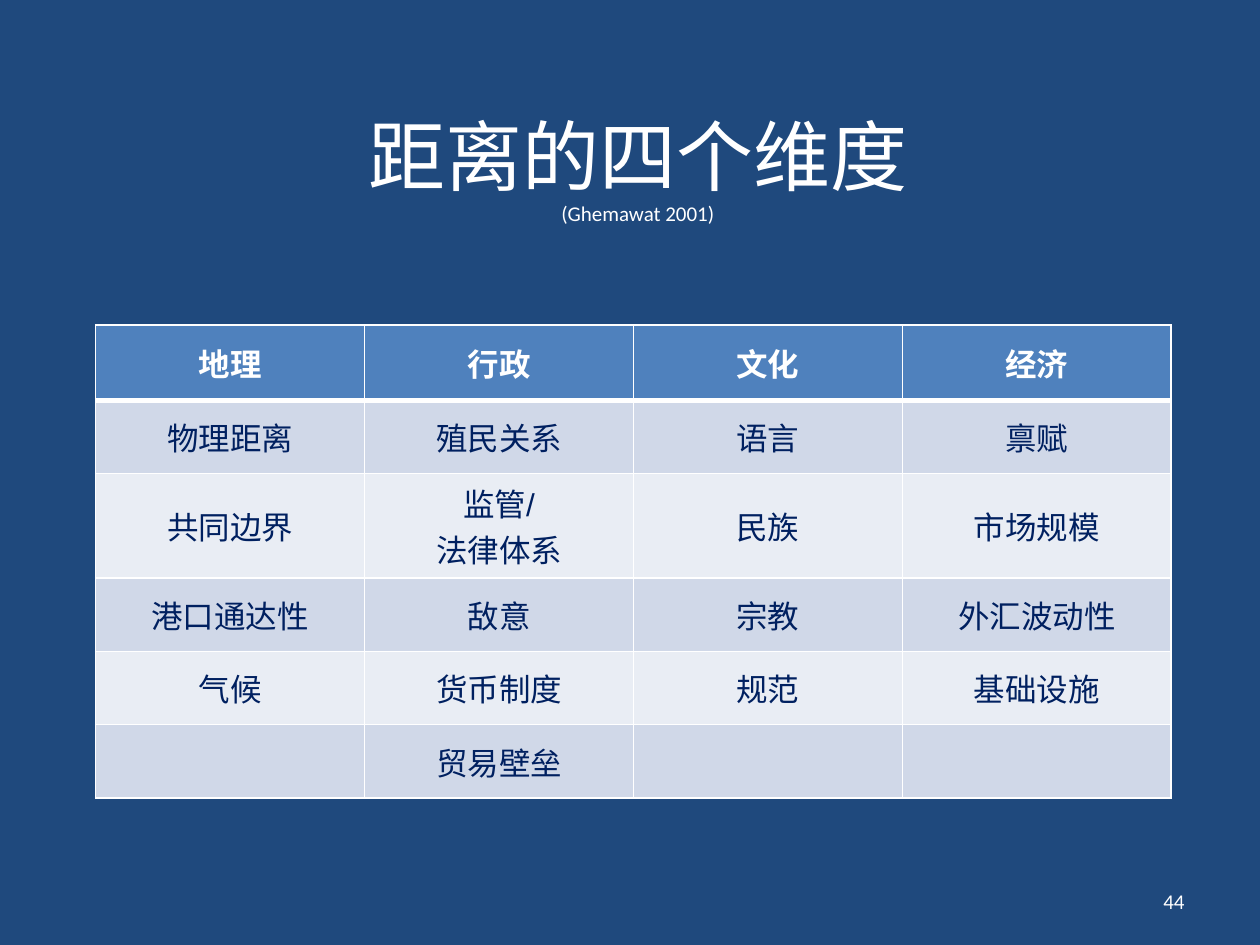
from lxml import etree
from pptx import Presentation
from pptx.dml.color import RGBColor
from pptx.enum import text as t
from pptx.oxml.ns import qn
from pptx.util import Cm, Pt

TITLE = "距离的四个维度"
CITE = "(Ghemawat 2001)"
PAGE = "44"
HEAD = ["地理", "行政", "文化", "经济"]
BODY = [
    ["物理距离", "殖民关系", "语言", "禀赋"],
    ["共同边界", "监管/\n法律体系", "民族", "市场规模"],
    ["港口通达性", "敌意", "宗教", "外汇波动性"],
    ["气候", "货币制度", "规范", "基础设施"],
    ["", "贸易壁垒", "", ""],
]

WHITE = RGBColor(0xFF, 0xFF, 0xFF)
NAVY = RGBColor(0x00, 0x20, 0x60)
BACK = RGBColor(0x1F, 0x49, 0x7D)
BLUE = RGBColor(0x4F, 0x81, 0xBD)
BANDS = [RGBColor(0xD0, 0xD8, 0xE8), RGBColor(0xE9, 0xED, 0xF4)]
COL, TOP, ROW, TALL = Cm(5.42), Cm(1.52), Cm(1.48), Cm(2.1)


def style(para, name, size, color, align, bold=False):
    para.alignment = align
    font = para.font
    font.name, font.size, font.bold = name, Pt(size), bold
    font.color.rgb = color


def place(shape, left, top, width, height):
    shape.left, shape.top = Cm(left), Cm(top)
    shape.width, shape.height = Cm(width), Cm(height)


def border(cell, widths):
    props = cell._tc.get_or_add_tcPr()
    for i, (side, width) in enumerate(widths.items()):
        line = etree.Element(qn("a:" + side), w=str(Pt(width)))
        fill = etree.SubElement(line, qn("a:solidFill"))
        etree.SubElement(fill, qn("a:srgbClr"), val=str(WHITE))
        props.insert(i, line)


def add_title(slide):
    title = slide.shapes.title
    place(title, 1.43, 1.78, 22.86, 3.18)
    frame = title.text_frame
    frame.vertical_anchor = t.MSO_ANCHOR.MIDDLE
    para = frame.paragraphs[0]
    style(para, "Calibri", 44, WHITE, t.PP_ALIGN.CENTER)
    para.add_run().text = TITLE
    para.add_line_break()
    cite = para.add_run()
    cite.text = CITE
    cite.font.size = Pt(12)


def add_page(slide):
    box = slide.shapes.add_textbox(Cm(18.21), Cm(17.65), Cm(5.92), Cm(1.02))
    frame = box.text_frame
    frame.word_wrap = True
    frame.vertical_anchor = t.MSO_ANCHOR.MIDDLE
    frame.text = PAGE
    style(frame.paragraphs[0], "Calibri", 12, WHITE, t.PP_ALIGN.RIGHT)


def add_grid(slide):
    rows = [HEAD] + BODY
    highs = [TOP] + [TALL if "\n" in "".join(row) else ROW for row in BODY]
    count = len(HEAD)
    table = slide.shapes.add_table(
        len(rows), count, Cm(1.93), Cm(6.55), COL * count, sum(highs)
    ).table
    table.horz_banding = False
    for col in table.columns:
        col.width = COL
    for r, (words, high) in enumerate(zip(rows, highs)):
        first = r == 0
        table.rows[r].height = high
        for c, word in enumerate(words):
            cell = table.cell(r, c)
            cell.text = word
            cell.vertical_anchor = t.MSO_ANCHOR.MIDDLE
            cell.fill.solid()
            cell.fill.fore_color.rgb = BLUE if first else BANDS[(r - 1) % 2]
            for para in cell.text_frame.paragraphs:
                style(para, "Arial", 18, WHITE if first else NAVY,
                      t.PP_ALIGN.CENTER, first)
            border(cell, {"lnL": 1, "lnR": 1, "lnT": 3 if r == 1 else 1,
                          "lnB": 3 if first else 1})


def main():
    deck = Presentation()
    deck.slide_width, deck.slide_height = Cm(25.4), Cm(19.05)
    slide = deck.slides.add_slide(deck.slide_layouts[5])
    slide.background.fill.solid()
    slide.background.fill.fore_color.rgb = BACK
    add_title(slide)
    add_page(slide)
    add_grid(slide)
    deck.save("out.pptx")


if __name__ == "__main__":
    main()
